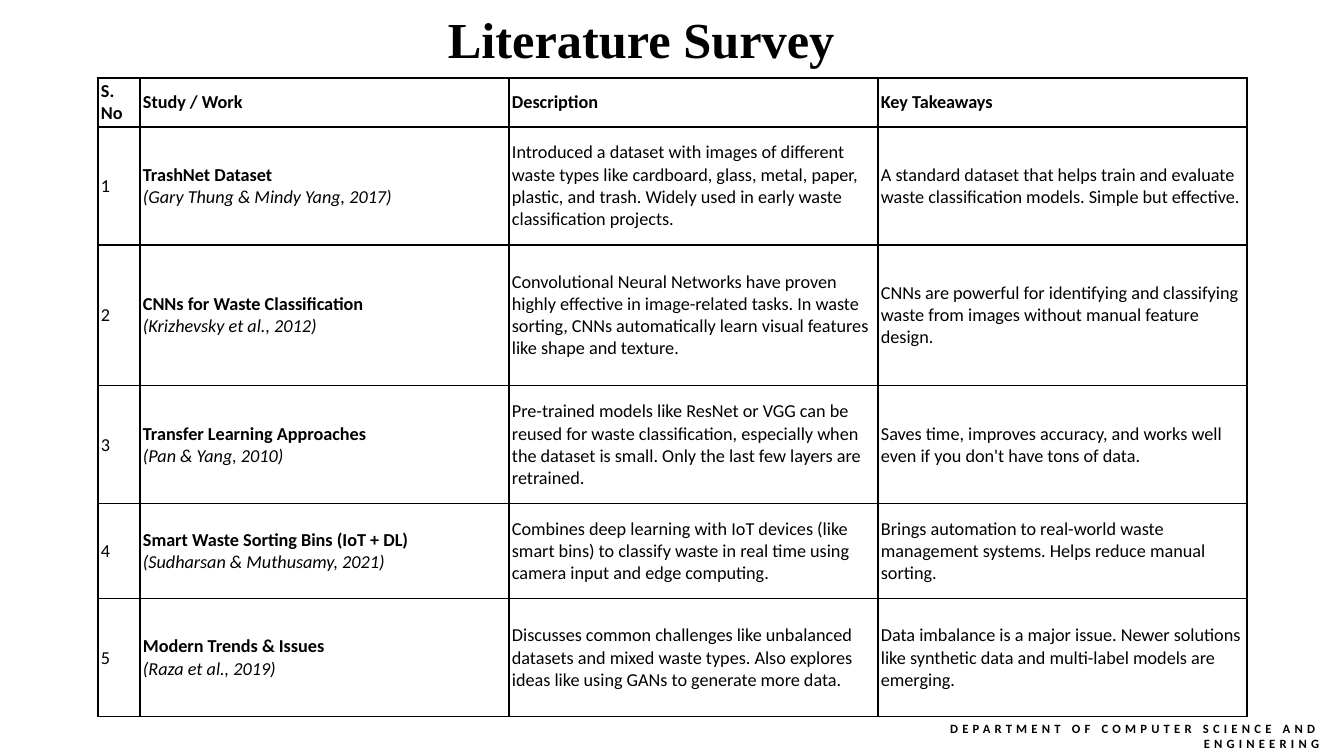
from lxml.etree import SubElement
from pptx import Presentation
from pptx.dml.color import RGBColor
from pptx.enum.text import MSO_ANCHOR, MSO_AUTO_SIZE, PP_ALIGN
from pptx.oxml.ns import qn
from pptx.util import Emu, Pt

SCALE = 914400 / 100.8  # EMU in one px
COLORS = {"ink": "000000", "paper": "FFFFFF"}
COLS = [42, 369, 369, 369]
ROWS = [49, 118, 141, 118, 95, 118]
HEADS = ["S. No", "Study / Work", "Description", "Key Takeaways"]
STUDIES = [
    ("TrashNet Dataset", "(Gary Thung & Mindy Yang, 2017)",
     "Introduced a dataset with images of different waste types like cardboard, glass, metal, "
     "paper, plastic, and trash. Widely used in early waste classification projects.",
     "A standard dataset that helps train and evaluate waste classification models. "
     "Simple but effective."),
    ("CNNs for Waste Classification", "(Krizhevsky et al., 2012)",
     "Convolutional Neural Networks have proven highly effective in image-related tasks. "
     "In waste sorting, CNNs automatically learn visual features like shape and texture.",
     "CNNs are powerful for identifying and classifying waste from images without manual "
     "feature design."),
    ("Transfer Learning Approaches", "(Pan & Yang, 2010)",
     "Pre-trained models like ResNet or VGG can be reused for waste classification, especially "
     "when the dataset is small. Only the last few layers are retrained.",
     "Saves time, improves accuracy, and works well even if you don't have tons of data."),
    ("Smart Waste Sorting Bins (IoT + DL)", "(Sudharsan & Muthusamy, 2021)",
     "Combines deep learning with IoT devices (like smart bins) to classify waste in real time "
     "using camera input and edge computing.",
     "Brings automation to real-world waste management systems. Helps reduce manual sorting."),
    ("Modern Trends & Issues", "(Raza et al., 2019)",
     "Discusses common challenges like unbalanced datasets and mixed waste types. Also explores "
     "ideas like using GANs to generate more data.",
     "Data imbalance is a major issue. Newer solutions like synthetic data and multi-label "
     "models are emerging."),
]


def px(n):
    return Emu(round(n * SCALE))


def color(name):
    return RGBColor.from_string(COLORS[name])


def style(font, size, face="Calibri", bold=False):
    font.size, font.name, font.bold = Pt(size), face, bold
    font.color.rgb = color("ink")


def add_title(slide, box):
    frame = slide.shapes.add_textbox(*map(px, box)).text_frame
    frame.word_wrap = False
    frame.auto_size = MSO_AUTO_SIZE.SHAPE_TO_FIT_TEXT
    frame.text = "Literature Survey"
    style(frame.paragraphs[0].font, 36, "Times New Roman", True)


def add_footer(slide, box):
    frame = slide.shapes.add_textbox(*map(px, box)).text_frame
    frame.word_wrap = True
    frame.vertical_anchor = MSO_ANCHOR.MIDDLE
    para = frame.paragraphs[0]
    para.alignment = PP_ALIGN.RIGHT
    run = para.add_run()
    run.text = "DEPARTMENT OF COMPUTER SCIENCE AND ENGINEERING"
    style(run.font, 9, bold=True)
    run.font._element.set("spc", "300")


def add_edges(cell):
    props = cell._tc.get_or_add_tcPr()
    for side in ("a:lnL", "a:lnR", "a:lnT", "a:lnB"):
        line = SubElement(props, qn(side), w=str(Pt(1)))
        fill = SubElement(line, qn("a:solidFill"))
        SubElement(fill, qn("a:srgbClr"), val=COLORS["ink"])


def fill_cell(cell, text, bold=False, note=None):
    cell.margin_left = cell.margin_right = px(3)
    cell.margin_top = cell.margin_bottom = px(2)
    cell.vertical_anchor = MSO_ANCHOR.MIDDLE
    add_edges(cell)
    cell.fill.background()
    para = cell.text_frame.paragraphs[0]
    run = para.add_run()
    run.text = text
    style(run.font, 13, bold=bold)
    # Authors in italics below the study name
    if note:
        para.add_line_break()
        run = para.add_run()
        run.text = note
        style(run.font, 13)
        run.font.italic = True


def add_survey(slide, box):
    table = slide.shapes.add_table(len(ROWS), len(COLS), *map(px, box)).table
    table.first_row = table.horz_banding = False
    for col, width in zip(table.columns, COLS):
        col.width = px(width)
    for row, height in zip(table.rows, ROWS):
        row.height = px(height)
    # Header row
    for c, head in enumerate(HEADS):
        fill_cell(table.cell(0, c), head, bold=True)
    # One row per study
    for r, (name, note, about, lesson) in enumerate(STUDIES, 1):
        fill_cell(table.cell(r, 0), str(r))
        fill_cell(table.cell(r, 1), name, bold=True, note=note)
        fill_cell(table.cell(r, 2), about)
        fill_cell(table.cell(r, 3), lesson)


def main():
    deck = Presentation()
    deck.slide_width, deck.slide_height = px(1344), px(756)
    slide = deck.slides.add_slide(deck.slide_layouts[6])
    slide.background.fill.solid()
    slide.background.fill.fore_color.rgb = color("paper")
    add_footer(slide, (883, 716, 446, 40))
    add_survey(slide, (98, 78, sum(COLS), sum(ROWS)))
    add_title(slide, (438, 3, 411, 72))
    deck.save("out.pptx")


if __name__ == "__main__":
    main()
